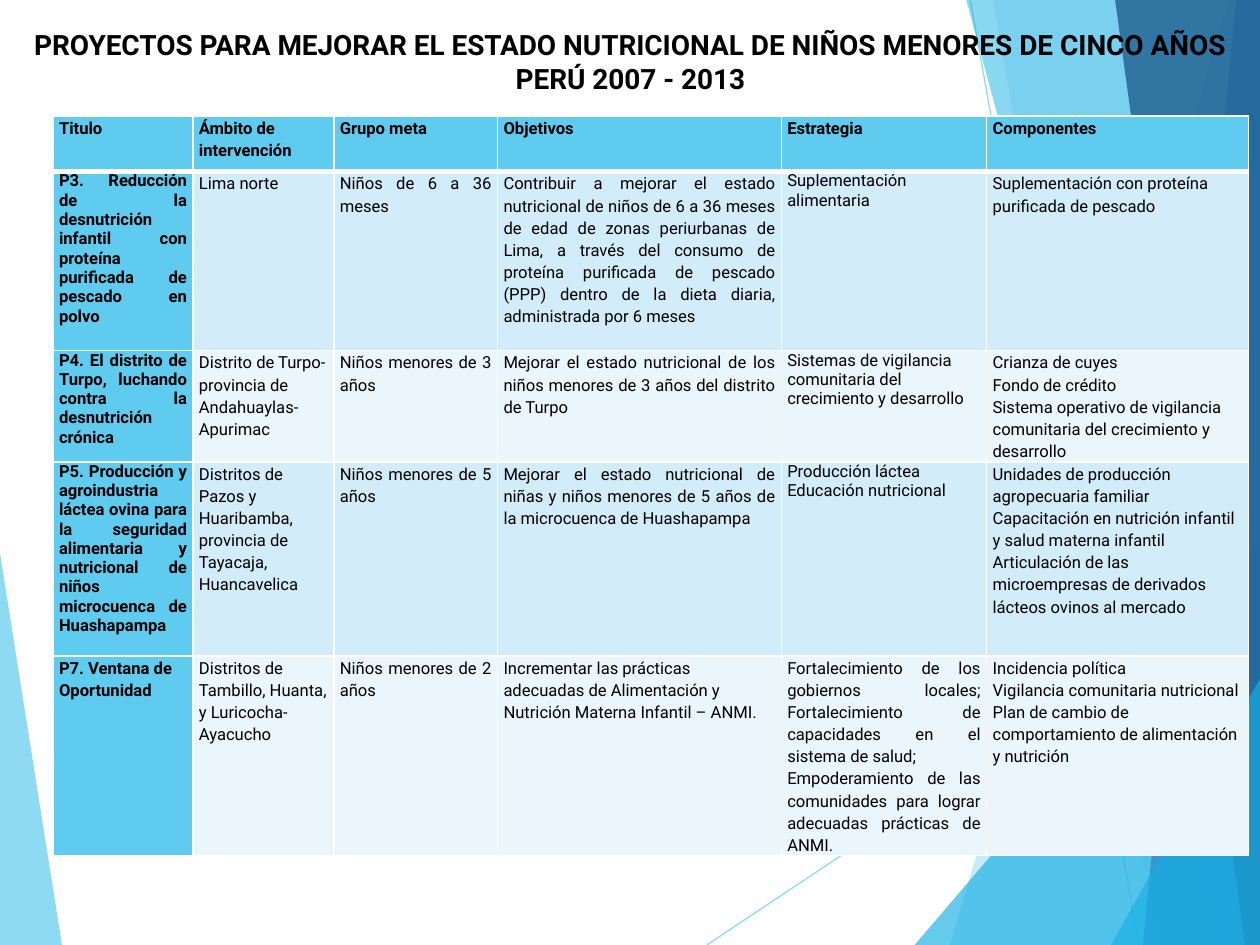
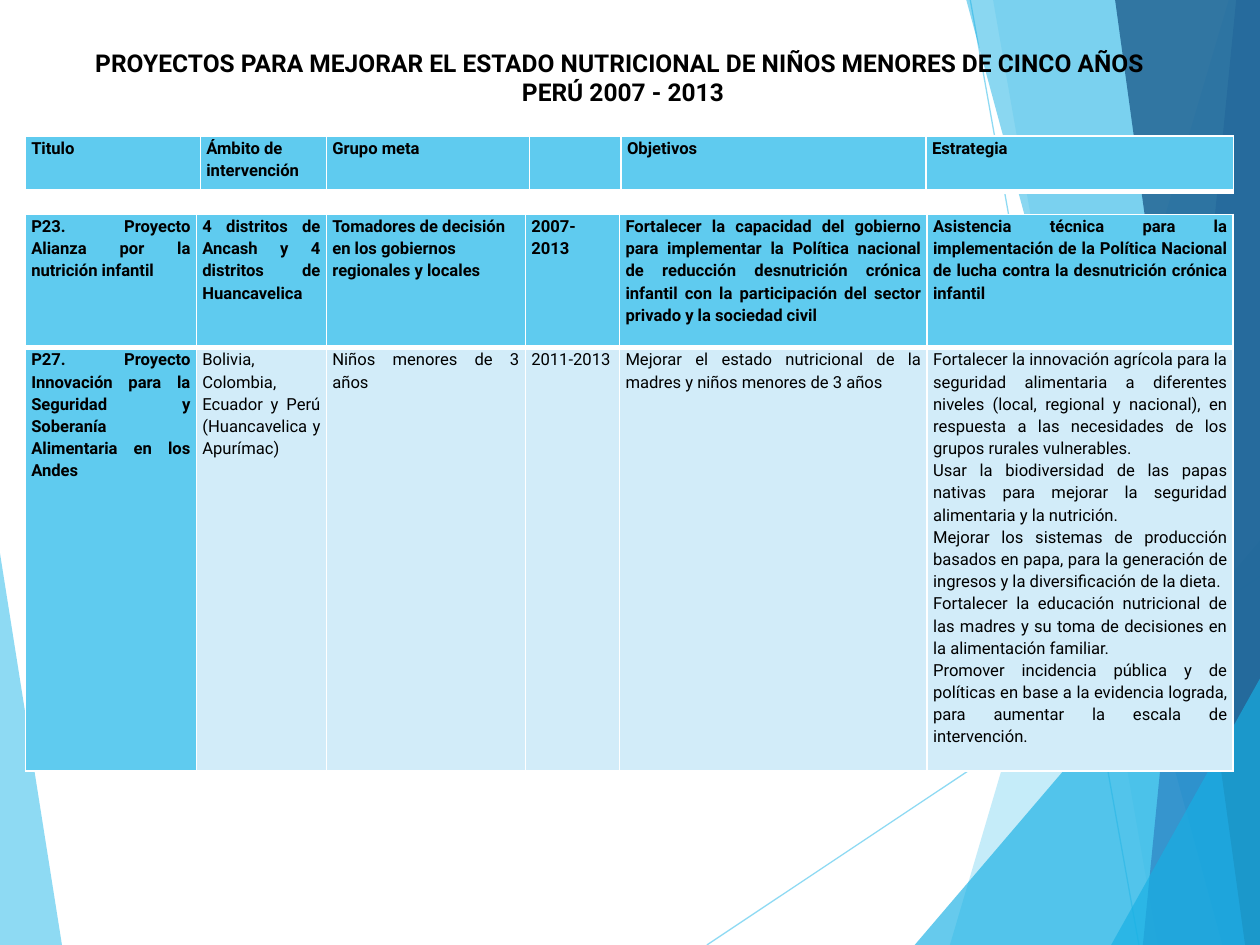
import pptx
import pptx.dml.color
import pptx.enum.shapes
import pptx.enum.text
import pptx.oxml
import pptx.oxml.ns
import pptx.util
from lxml import etree

Cm = pptx.util.Cm
Pt = pptx.util.Pt
ALIGN = pptx.enum.text.PP_ALIGN
qn = pptx.oxml.ns.qn

FONT = "Roboto"
BLACK, WHITE = "000000", "FFFFFF"
SKY, CYAN, BLUE, NAVY = "5FCBEF", "17B0E4", "2E83C3", "226292"
BANDS = ["D2ECF9", "EAF6FC"]
WIDTH, HEIGHT = 25.4, 19.05

TITLE = [
    "PROYECTOS PARA MEJORAR EL ESTADO NUTRICIONAL DE NIÑOS MENORES DE CINCO AÑOS ",
    "PERÚ 2007 - 2013",
]

# Each row: one format letter per column, then the cell texts.
# L left, J justified; a small letter means single line spacing.
PROJECTS = [
    ("LLLLLL", ["Titulo", "Ámbito de intervención", "Grupo meta", "Objetivos",
                "Estrategia", "Componentes"]),
    ("jLJJlL", [
        "P3. Reducción de la desnutrición infantil con proteína purificada de pescado en polvo",
        "Lima norte",
        "Niños de 6 a 36 meses",
        "Contribuir a mejorar el estado nutricional de niños de 6 a 36 meses de edad de zonas "
        "periurbanas de Lima, a través del consumo de proteína purificada de pescado (PPP) "
        "dentro de la dieta diaria, administrada por 6 meses",
        "Suplementación alimentaria",
        "Suplementación con proteína purificada de pescado"]),
    ("jLJJlL", [
        "P4. El distrito de Turpo, luchando contra la desnutrición crónica",
        "Distrito de Turpo-provincia de Andahuaylas-Apurimac",
        "Niños menores de 3 años",
        "Mejorar el estado nutricional de los niños menores de 3 años del distrito de Turpo",
        "Sistemas de vigilancia comunitaria del crecimiento y desarrollo",
        "Crianza de cuyes\nFondo de crédito\n"
        "Sistema operativo de vigilancia comunitaria del crecimiento y desarrollo"]),
    ("jLJJlL", [
        "P5. Producción y agroindustria láctea ovina para la seguridad alimentaria y "
        "nutricional de niños microcuenca de Huashapampa",
        "Distritos de Pazos y Huaribamba, provincia de Tayacaja, Huancavelica",
        "Niños menores de 5 años",
        "Mejorar el estado nutricional de niñas y niños menores de 5 años de la microcuenca "
        "de Huashapampa",
        "Producción láctea\nEducación nutricional",
        "Unidades de producción agropecuaria familiar\n"
        "Capacitación en nutrición infantil y salud materna infantil\n"
        "Articulación de las microempresas de derivados lácteos ovinos al mercado"]),
    ("LLJLJL", [
        "P7. Ventana de Oportunidad",
        "Distritos de Tambillo, Huanta, y Luricocha-Ayacucho",
        "Niños menores de 2 años",
        "Incrementar las prácticas adecuadas de Alimentación y Nutrición Materna Infantil – ANMI.",
        "Fortalecimiento de los gobiernos locales; Fortalecimiento de capacidades en el "
        "sistema de salud;\n"
        "Empoderamiento de las comunidades para lograr adecuadas prácticas de ANMI.",
        "Incidencia política\nVigilancia comunitaria nutricional\n"
        "Plan de cambio de comportamiento de alimentación y nutrición"]),
]

ALLIANCE_HEADER = [
    ("LLLLLL", ["Titulo", "Ámbito de intervención", "Grupo meta", "", "Objetivos", "Estrategia"]),
]

ALLIANCES = [
    ("JJLLJJ", [
        "P23. Proyecto Alianza por la nutrición infantil",
        "4 distritos de Ancash y 4 distritos de Huancavelica",
        "Tomadores de decisión en los gobiernos regionales y locales",
        "2007-2013",
        "Fortalecer la capacidad del gobierno para implementar la Política nacional de "
        "reducción desnutrición crónica infantil con la participación del sector privado "
        "y la sociedad civil",
        "Asistencia técnica para la implementación de la Política Nacional de lucha contra "
        "la desnutrición crónica infantil"]),
    ("JJJJJJ", [
        "P27. Proyecto Innovación para la Seguridad y Soberanía Alimentaria en los Andes",
        "Bolivia, Colombia, Ecuador y Perú (Huancavelica y Apurímac)",
        "Niños menores de 3 años",
        "2011-2013",
        "Mejorar el estado nutricional de la madres y niños menores de 3 años",
        "Fortalecer la innovación agrícola para la seguridad alimentaria a diferentes niveles "
        "(local, regional y nacional), en respuesta a las necesidades de los grupos rurales "
        "vulnerables.\n"
        "Usar la biodiversidad de las papas nativas para mejorar la seguridad alimentaria y "
        "la nutrición.\n"
        "Mejorar los sistemas de producción basados en papa, para la generación de ingresos y "
        "la diversificación de la dieta.\n"
        "Fortalecer la educación nutricional de las madres y su toma de decisiones en la "
        "alimentación familiar.\n"
        "Promover incidencia pública y de políticas en base a la evidencia lograda, para "
        "aumentar la escala de intervención."]),
]


def paint(color_format, color):
    color_format.rgb = pptx.dml.color.RGBColor.from_string(color)


def paint_solid(fill, color, opacity=100):
    fill.solid()
    paint(fill.fore_color, color)
    if opacity < 100:
        target = fill._xPr.find(qn("a:solidFill"))[0]
        etree.SubElement(target, qn("a:alpha"), val=str(opacity * 1000))


def write_text(frame, text, size=9.5, bold=False, align=ALIGN.LEFT, spacing=1.0):
    for index, line in enumerate(text.split("\n")):
        para = frame.paragraphs[0] if index == 0 else frame.add_paragraph()
        para.alignment = align
        para.line_spacing = spacing
        if line:
            span = para.add_run()
            span.text = line
            span.font.name = FONT
            span.font.size = Pt(size)
            span.font.bold = bold
            paint(span.font.color, BLACK)


def add_wedge(page, top, bottom, color, opacity, edge=WIDTH):
    """Fill the area between a slanted side and a vertical slide edge."""
    corners = [bottom, (edge, HEIGHT), (edge, top[1])]
    builder = page.shapes.build_freeform(Cm(top[0]), Cm(top[1]))
    builder.add_line_segments([(Cm(x), Cm(y)) for x, y in corners])
    wedge = builder.convert_to_shape()
    wedge.shadow.inherit = False
    wedge.line.fill.background()
    paint_solid(wedge.fill, color, opacity)
    return wedge


def add_ray(page, start, end):
    ray = page.shapes.add_connector(
        pptx.enum.shapes.MSO_CONNECTOR.STRAIGHT, *[Cm(length) for length in start + end])
    ray.line.width = Pt(0.75)
    paint_solid(ray.line.fill, SKY, 70)
    etree.SubElement(ray.element.spPr, qn("a:effectLst"))
    return ray


def add_backdrop(page):
    """Draw the facets and move them to the layout, behind all page content."""
    facets = [
        add_wedge(page, (0, 11.15), (1.25, HEIGHT), SKY, 70, edge=0),
        add_ray(page, (14.25, HEIGHT), (WIDTH, 11.62)),
        add_ray(page, (19.56, 0), (22.96, HEIGHT)),
        add_wedge(page, (24.77, 0), (19.15, HEIGHT), SKY, 36),
        add_wedge(page, (20.02, 0), (23.34, HEIGHT), SKY, 20),
        add_wedge(page, (WIDTH, 10.9), (18.44, HEIGHT), CYAN, 66),
        add_wedge(page, (19.48, 0), (24.64, HEIGHT), CYAN, 50),
        add_wedge(page, (24.92, 0), (23.04, HEIGHT), BLUE, 70),
        add_wedge(page, (22.48, 0), (25.1, HEIGHT), NAVY, 82),
        add_wedge(page, (WIDTH, 13.68), (22.4, HEIGHT), CYAN, 66),
    ]
    tree = page.slide_layout.shapes.element
    for index, facet in enumerate(facets):
        facet.element.xpath(".//p:cNvPr")[0].set("id", str(100 + index))
        tree.insert(2 + index, facet.element)


def set_title(page, left, top, height, size):
    title = page.shapes.title
    title.left, title.top, title.width, title.height = Cm(left), Cm(top), Cm(24.56), Cm(height)
    frame = title.text_frame
    frame.word_wrap = True
    frame.auto_size = pptx.enum.text.MSO_AUTO_SIZE.NONE
    frame.vertical_anchor = pptx.enum.text.MSO_ANCHOR.TOP
    write_text(frame, "\n".join(TITLE), size=size, bold=True, align=ALIGN.CENTER)


def set_borders(cell, top, bottom):
    properties = cell._tc.get_or_add_tcPr()
    for side, width in (("L", 1), ("R", 1), ("T", top), ("B", bottom)):
        line = etree.SubElement(properties, qn("a:ln" + side), w=str(Pt(width)))
        fill = etree.SubElement(line, qn("a:solidFill"))
        etree.SubElement(fill, qn("a:srgbClr"), val=WHITE)


def add_grid(page, left, top, widths, heights, rows):
    """Add a table whose first row and first column are headings."""
    table = page.shapes.add_table(
        len(rows), len(widths), Cm(left), Cm(top), Cm(sum(widths)), Cm(sum(heights))).table
    for column, width in zip(table.columns, widths):
        column.width = Cm(width)
    for r, (formats, texts) in enumerate(rows):
        table.rows[r].height = Cm(heights[r])
        for c, (code, text) in enumerate(zip(formats, texts)):
            cell = table.cell(r, c)
            heading = r == 0 or c == 0
            cell.margin_left = cell.margin_right = Cm(0.12)
            cell.margin_top = cell.margin_bottom = 0
            set_borders(cell, top=3 if r == 1 else 1, bottom=3 if r == 0 else 1)
            paint_solid(cell.fill, SKY if heading else BANDS[(r - 1) % 2])
            write_text(cell.text_frame, text, bold=heading,
                       align=ALIGN.JUSTIFY if code in "Jj" else ALIGN.LEFT,
                       spacing=1.15 if code.isupper() else 1.0)


def main():
    deck = pptx.Presentation()
    deck.slide_width, deck.slide_height = Cm(WIDTH), Cm(HEIGHT)
    title_only = deck.slide_layouts[5]

    page = deck.slides.add_slide(title_only)
    add_backdrop(page)
    set_title(page, 0.43, 0.43, 1.63, size=16)
    add_grid(page, 1.07, 2.34, [2.82, 2.84, 3.3, 5.72, 4.14, 5.28],
             [1.12, 3.61, 2.24, 3.91, 4.01], PROJECTS)

    page = deck.slides.add_slide(title_only)
    set_title(page, 0.28, 0.84, 1.45, size=14)
    add_grid(page, 0.51, 4.32, [3.45, 2.62, 4.01, 1.9, 6.2, 6.17], [2.69, 8.53], ALLIANCES)
    add_grid(page, 0.51, 2.74, [3.53, 2.54, 4.09, 1.85, 6.15, 6.2], [1.12], ALLIANCE_HEADER)

    deck.save("out.pptx")


if __name__ == "__main__":
    main()
